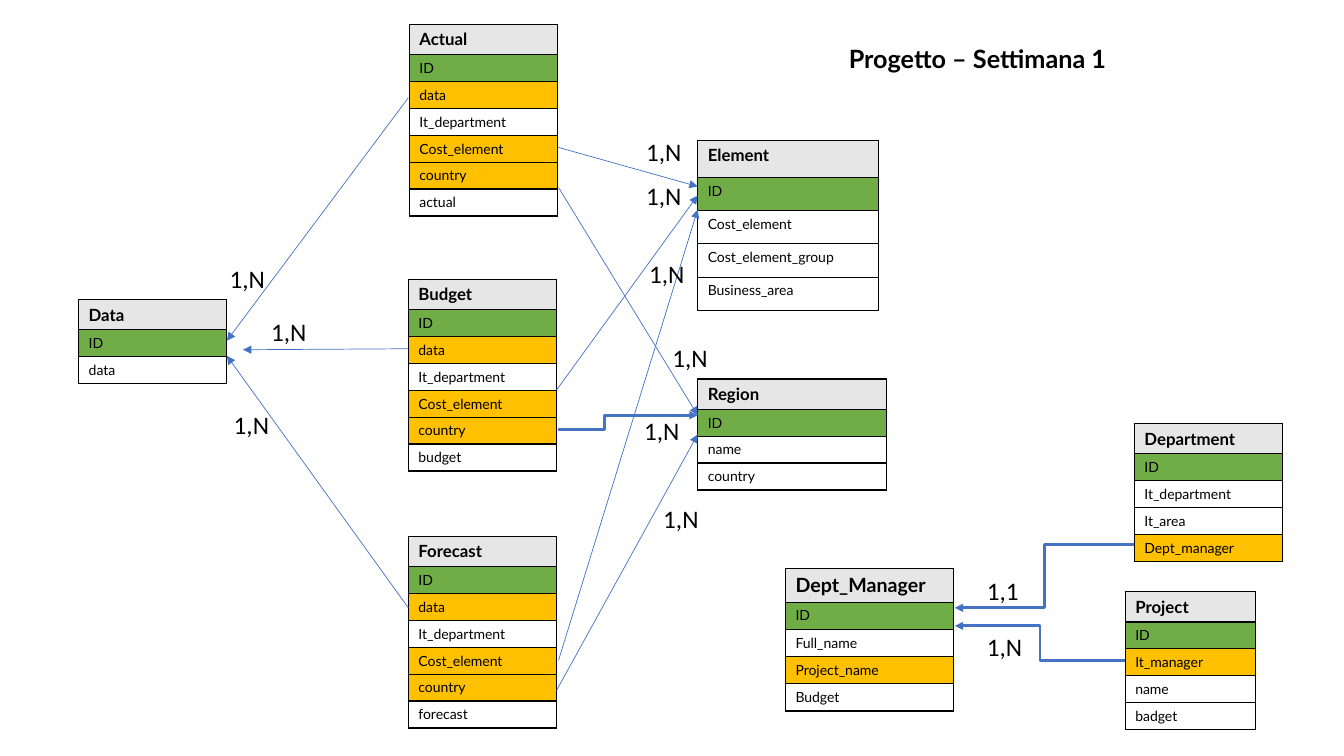
from lxml.etree import SubElement
from pptx import Presentation
from pptx.dml.color import RGBColor
from pptx.enum.shapes import MSO_CONNECTOR as Conn
from pptx.enum.text import MSO_AUTO_SIZE as AutoSize
from pptx.oxml.ns import qn
from pptx.util import Inches, Pt

BLACK = RGBColor(0x00, 0x00, 0x00)
WHITE = RGBColor(0xFF, 0xFF, 0xFF)
HEADER = RGBColor(0xE7, 0xE6, 0xE6)
PRIMARY = RGBColor(0x70, 0xAD, 0x47)
FOREIGN = RGBColor(0xFF, 0xC0, 0x00)
LINK = RGBColor(0x44, 0x72, 0xC4)

COST_KEYS = {"data", "Cost_element", "country"}
COST_FIELDS = ["data", "It_department", "Cost_element", "country"]

# name, left, top, width, header height, row height, fields after ID, foreign keys
ENTITIES = [
    ("Actual", 4.06, 0.24, 1.47, 0.25, 0.25, COST_FIELDS + ["actual"], COST_KEYS),
    ("Budget", 4.05, 2.77, 1.47, 0.25, 0.25, COST_FIELDS + ["budget"], COST_KEYS),
    ("Forecast", 4.05, 5.32, 1.47, 0.25, 0.25, COST_FIELDS + ["forecast"], COST_KEYS),
    ("Data", 0.78, 2.97, 1.47, 0.25, 0.25, ["data"], set()),
    ("Element", 6.92, 1.39, 1.79, 0.37, 0.33,
     ["Cost_element", "Cost_element_group", "Business_area"], set()),
    ("Region", 6.92, 3.76, 1.87, 0.24, 0.24, ["name", "country"], set()),
    ("Dept_Manager", 7.79, 5.64, 1.67, 0.27, 0.27,
     ["Full_name", "Project_name", "Budget"], {"Project_name"}),
    ("Project", 11.16, 5.87, 1.29, 0.25, 0.25,
     ["It_manager", "name", "badget"], {"It_manager"}),
    ("Department", 11.25, 4.2, 1.47, 0.25, 0.25,
     ["It_department", "It_area", "Dept_manager"], {"Dept_manager"}),
]

STRAIGHT_LINKS = [
    (4.05, 0.97, 2.25, 3.38), (4.05, 3.46, 2.41, 3.47), (4.05, 6.03, 2.25, 3.53),
    (5.53, 1.46, 6.92, 1.85), (5.54, 6.55, 6.92, 2.08), (5.52, 3.87, 6.92, 1.94),
    (5.54, 1.86, 6.92, 4.12), (5.52, 6.85, 6.92, 4.31),
]

# start x, start y, end x, end y, bend position in percent
BENT_LINKS = [
    (5.53, 4.26, 6.92, 4.12, 33.4),
    (11.16, 6.55, 9.47, 6.21, 50),
    (11.25, 5.4, 9.47, 6.03, 50),
]

ONE_TO_MANY = [
    (6.31, 1.3), (2.59, 3.09), (2.22, 4.01), (2.18, 2.56), (6.31, 1.74),
    (9.69, 6.21), (6.29, 4.07), (6.48, 4.94), (6.57, 3.35), (6.34, 2.51),
]


def set_font(p, name, size, bold=False):
    p.font.name = name
    p.font.size = Pt(size)
    p.font.bold = bold
    p.font.color.rgb = BLACK


def add_borders(cell):
    tc_pr = cell._tc.get_or_add_tcPr()
    for side in ("a:lnL", "a:lnR", "a:lnT", "a:lnB"):
        ln = SubElement(tc_pr, qn(side), w=str(Pt(1)))
        fill = SubElement(ln, qn("a:solidFill"))
        SubElement(fill, qn("a:srgbClr"), val=str(BLACK))


def add_entity(slide, name, left, top, width, header_h, row_h, fields, foreign):
    rows = [name, "ID"] + fields
    table = slide.shapes.add_table(
        len(rows), 1, Inches(left), Inches(top), Inches(width),
        Inches(header_h + row_h * (len(rows) - 1))).table
    table.first_row = table.horz_banding = False
    for i, text in enumerate(rows):
        table.rows[i].height = Inches(row_h if i else header_h)
        cell = table.cell(i, 0)
        add_borders(cell)
        cell.fill.solid()
        if i < 2:
            cell.fill.fore_color.rgb = (HEADER, PRIMARY)[i]
        else:
            cell.fill.fore_color.rgb = FOREIGN if text in foreign else WHITE
        cell.text = text
        header_size = 14 if name == "Dept_Manager" else 12
        set_font(cell.text_frame.paragraphs[0], "Lato", 10 if i else header_size, i == 0)


def add_link(slide, x1, y1, x2, y2, bend=None):
    kind = Conn.STRAIGHT if bend is None else Conn.ELBOW
    link = slide.shapes.add_connector(kind, Inches(x1), Inches(y1), Inches(x2), Inches(y2))
    link.line.color.rgb = LINK
    link.line.width = Pt(0.5 if bend is None else 2)
    sp_pr = link._element.spPr
    SubElement(sp_pr.find(qn("a:ln")), qn("a:tailEnd"), type="triangle")
    SubElement(sp_pr, qn("a:effectLst"))
    if bend is not None:
        guides = sp_pr.find(qn("a:prstGeom")).find(qn("a:avLst"))
        SubElement(guides, qn("a:gd"), name="adj1", fmla=f"val {round(bend * 1000)}")


def add_label(slide, text, left, top, width, font="Calibri", bold=False, wrap=False):
    box = slide.shapes.add_textbox(Inches(left), Inches(top), Inches(width), Inches(0.4))
    tf = box.text_frame
    tf.word_wrap = wrap
    tf.auto_size = AutoSize.SHAPE_TO_FIT_TEXT
    p = tf.paragraphs[0]
    p.text = text
    set_font(p, font, 18, bold)


def main():
    prs = Presentation()
    prs.slide_width, prs.slide_height = Inches(13.33), Inches(7.5)
    slide = prs.slides.add_slide(prs.slide_layouts[6])
    for entity in ENTITIES:
        add_entity(slide, *entity)
    for link in STRAIGHT_LINKS + BENT_LINKS:
        add_link(slide, *link)
    add_label(slide, "Progetto – Settimana 1", 8.32, 0.38, 4.22, "Lato", True, True)
    add_label(slide, "1,1", 9.69, 5.66, 0.52)
    for left, top in ONE_TO_MANY:
        add_label(slide, "1,N", left, top, 0.56)
    prs.save("out.pptx")


main()
